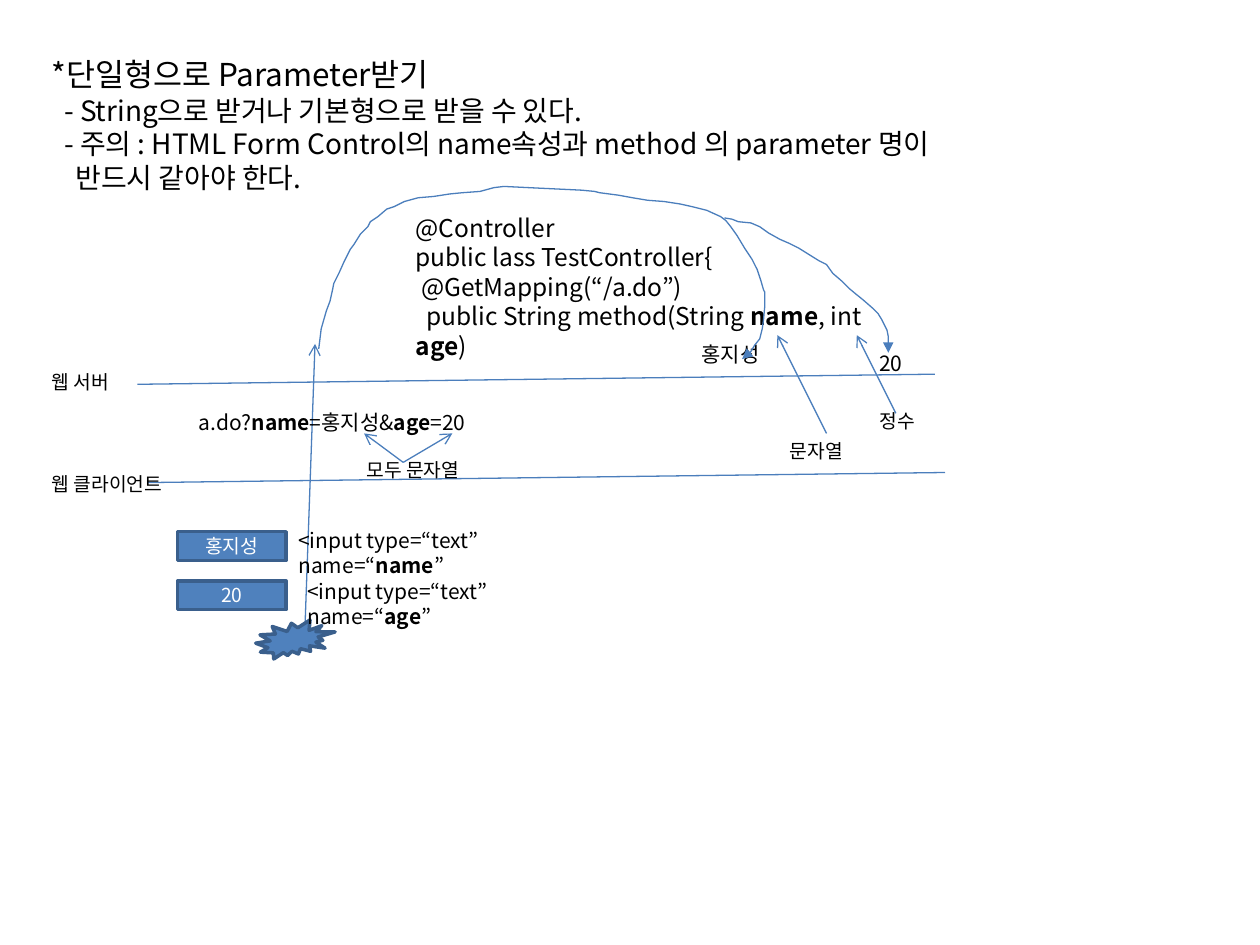
from pptx import Presentation
from pptx.dml.color import RGBColor
from pptx.enum.shapes import MSO_CONNECTOR, MSO_SHAPE
from pptx.enum.text import MSO_ANCHOR, MSO_AUTO_SIZE, PP_ALIGN
from pptx.oxml.ns import qn
from pptx.util import Inches, Pt
from lxml.etree import SubElement

FONT = "Noto Sans CJK KR"
BLACK = RGBColor(0x00, 0x00, 0x00)
WHITE = RGBColor(0xFF, 0xFF, 0xFF)
BLUE = RGBColor(0x4F, 0x81, 0xBD)
LINE_BLUE = RGBColor(0x4B, 0x7E, 0xBC)
DARK_BLUE = RGBColor(0x3A, 0x5F, 0x8C)

# Heading lines: text, size, first-line indent
HEADING_BOX = (0.31, 0.39, 7.66, 1.48)
HEADING = [
    ("*단일형으로 Parameter받기", 18, 0),
    ("- String으로 받거나 기본형으로 받을 수 있다.", 16, 0.1),
    ("- 주의 : HTML Form Control의 name속성과 method 의 parameter 명이", 16, 0.1),
    ("반드시 같아야 한다.", 16, 0.19),
]

# Text boxes: left, top, width, height, size, lines (** switches bold)
TEXTS = [
    (0.31, 2.89, 0.72, 0.29, 11, ["웹 서버"]),
    (0.31, 3.7, 1.18, 0.29, 11, ["웹 클라이언트"]),
    (2.27, 4.14, 2.8, 0.3, 12, ["<input type=“text” name=“**name**”"]),
    (2.34, 4.54, 2.65, 0.3, 12, ["<input type=“text” name=“**age**”"]),
    (1.48, 3.2, 2.4, 0.3, 12, ["a.do?**name**=홍지성&**age**=20"]),
    (3.2, 1.64, 4.17, 1.28, 14, [
        "@Controller",
        "public lass TestController{",
        " @GetMapping(“/a.do”)",
        "  public String method(String **name**, int **age**)",
    ]),
    (5.47, 2.66, 0.71, 0.3, 12, ["홍지성"]),
    (6.88, 2.73, 0.39, 0.3, 12, ["20"]),
    (2.81, 3.59, 1.03, 0.29, 11, ["모두 문자열"]),
    (6.17, 3.44, 0.66, 0.29, 11, ["문자열"]),
    (6.88, 3.2, 0.51, 0.29, 11, ["정수"]),
]

# Connectors: start, end, arrowhead at the end
CONNECTORS = [
    ((1.09, 3.05), (7.42, 2.97), None),
    ((1.17, 3.83), (7.5, 3.75), None),
    ((2.42, 5), (2.5, 2.73), "arrow"),
    ((6.56, 3.44), (6.17, 2.66), "arrow"),
    ((3.2, 3.67), (2.89, 3.44), "arrow"),
    ((3.2, 3.67), (3.59, 3.44), "arrow"),
    ((7.11, 3.28), (6.8, 2.66), "arrow"),
]

# Filled shapes: preset, left, top, width, height, text
SHAPES = [
    (MSO_SHAPE.RECTANGLE, 1.41, 4.22, 0.86, 0.23, "홍지성"),
    (MSO_SHAPE.RECTANGLE, 1.41, 4.61, 0.86, 0.23, "20"),
    (MSO_SHAPE.EXPLOSION2, 2.03, 4.92, 0.63, 0.31, ""),
]

NAME_CURVE = [
    (2.53, 2.77), (2.54, 2.69), (2.55, 2.61), (2.57, 2.54), (2.59, 2.47),
    (2.62, 2.39), (2.64, 2.3), (2.65, 2.25), (2.69, 2.17), (2.73, 2.08),
    (2.78, 1.98), (2.81, 1.94), (2.86, 1.86), (2.92, 1.8), (2.94, 1.76),
    (3, 1.72), (3.07, 1.66), (3.13, 1.64), (3.21, 1.6), (3.32, 1.57),
    (3.44, 1.56), (3.57, 1.54), (3.67, 1.53), (3.81, 1.52), (3.92, 1.49),
    (4, 1.48), (4.2, 1.49), (4.62, 1.51), (4.72, 1.52), (4.76, 1.53),
    (4.91, 1.55), (5.02, 1.57), (5.14, 1.59), (5.27, 1.6), (5.4, 1.62),
    (5.49, 1.64), (5.61, 1.67), (5.72, 1.72), (5.76, 1.75), (5.8, 1.8),
    (5.85, 1.87), (5.91, 1.97), (5.97, 2.06), (6.01, 2.14), (6.04, 2.23),
    (6.06, 2.3), (6.07, 2.32), (6.07, 2.43), (6.06, 2.54), (6.05, 2.61),
    (6.03, 2.69), (5.99, 2.74), (5.96, 2.79), (5.91, 2.84), (5.89, 2.85),
]
AGE_CURVE = [
    (5.75, 1.73), (5.81, 1.74), (5.86, 1.76), (5.96, 1.77), (6.03, 1.8),
    (6.1, 1.85), (6.19, 1.9), (6.26, 1.93), (6.34, 1.97), (6.42, 2.02),
    (6.5, 2.07), (6.56, 2.1), (6.61, 2.17), (6.68, 2.23), (6.74, 2.29),
    (6.8, 2.34), (6.85, 2.38), (6.93, 2.45), (6.97, 2.49), (7, 2.54),
    (7.04, 2.62), (7.05, 2.67), (7.05, 2.8),
]


def format_run(run, size, color=BLACK, bold=False):
    run.font.size = Pt(size)
    run.font.name = FONT
    run.font.bold = bold
    run.font.color.rgb = color
    east_asian = SubElement(run.font._element, qn("a:ea"))
    east_asian.set("typeface", FONT)


def format_line(shape, color, width, tail=None):
    shape.line.color.rgb = color
    shape.line.width = Pt(width)
    if tail:
        SubElement(shape.line._get_or_add_ln(), qn("a:tailEnd")).set("type", tail)


def add_heading(slide):
    title = slide.shapes.title
    title.left, title.top, title.width, title.height = map(Inches, HEADING_BOX)
    frame = title.text_frame
    frame.word_wrap = True
    frame.auto_size = MSO_AUTO_SIZE.NONE
    frame.vertical_anchor = MSO_ANCHOR.TOP
    frame.text = "\n".join(text for text, _, _ in HEADING)
    for paragraph, (_, size, indent) in zip(frame.paragraphs, HEADING):
        paragraph.alignment = PP_ALIGN.LEFT
        paragraph._p.get_or_add_pPr().set("indent", str(Inches(indent)))
        format_run(paragraph.runs[0], size)


def add_text(slide, left, top, width, height, size, lines):
    box = slide.shapes.add_textbox(*map(Inches, (left, top, width, height)))
    frame = box.text_frame
    frame.word_wrap = True
    frame.auto_size = MSO_AUTO_SIZE.SHAPE_TO_FIT_TEXT
    for index, line in enumerate(lines):
        paragraph = frame.add_paragraph() if index else frame.paragraphs[0]
        for part, text in enumerate(line.split("**")):
            run = paragraph.add_run()
            run.text = text
            format_run(run, size, bold=part % 2 == 1)


def add_connector(slide, start, end, tail):
    connector = slide.shapes.add_connector(
        MSO_CONNECTOR.STRAIGHT, *map(Inches, start + end))
    format_line(connector, LINE_BLUE, 0.75, tail)
    SubElement(connector._element.spPr, qn("a:effectLst"))


def add_filled_shape(slide, preset, left, top, width, height, text):
    shape = slide.shapes.add_shape(preset, *map(Inches, (left, top, width, height)))
    shape.shadow.inherit = False
    shape.fill.solid()
    shape.fill.fore_color.rgb = BLUE
    format_line(shape, DARK_BLUE, 2)
    if text:
        frame = shape.text_frame
        frame.text = text
        frame.vertical_anchor = MSO_ANCHOR.MIDDLE
        frame.paragraphs[0].alignment = PP_ALIGN.CENTER
        format_run(frame.paragraphs[0].runs[0], 11, WHITE)


def add_curve(slide, points):
    start, *rest = [(Inches(x), Inches(y)) for x, y in points]
    builder = slide.shapes.build_freeform(*start)
    builder.add_line_segments(rest, close=False)
    curve = builder.convert_to_shape()
    curve.shadow.inherit = False
    curve.fill.background()
    format_line(curve, LINE_BLUE, 0.75, "triangle")


def main():
    presentation = Presentation()
    presentation.slide_width, presentation.slide_height = Inches(10), Inches(7.5)
    slide = presentation.slides.add_slide(presentation.slide_layouts[5])
    add_heading(slide)
    for connector in CONNECTORS:
        add_connector(slide, *connector)
    for shape in SHAPES:
        add_filled_shape(slide, *shape)
    for text in TEXTS:
        add_text(slide, *text)
    for points in (NAME_CURVE, AGE_CURVE):
        add_curve(slide, points)
    presentation.save("out.pptx")


if __name__ == "__main__":
    main()
